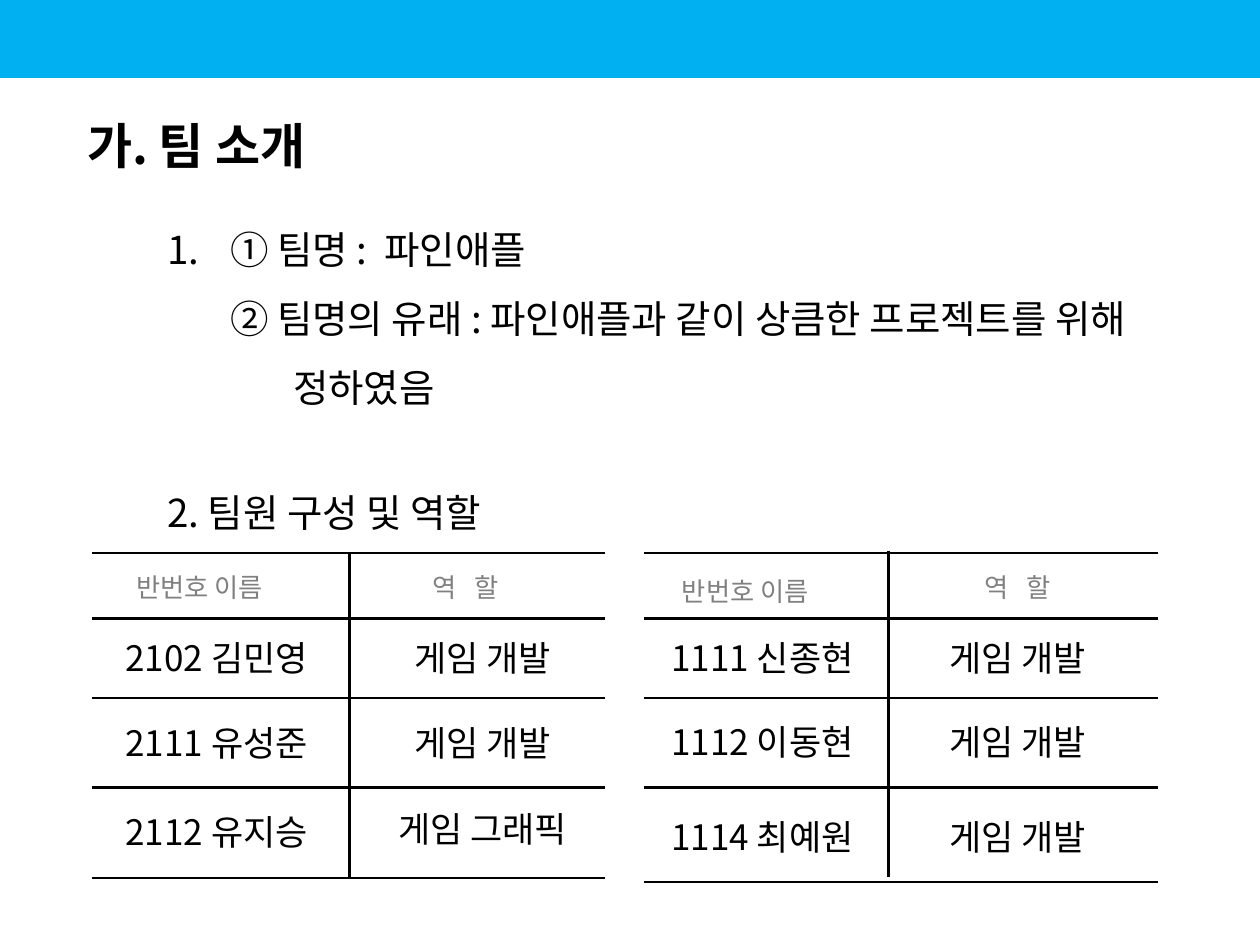
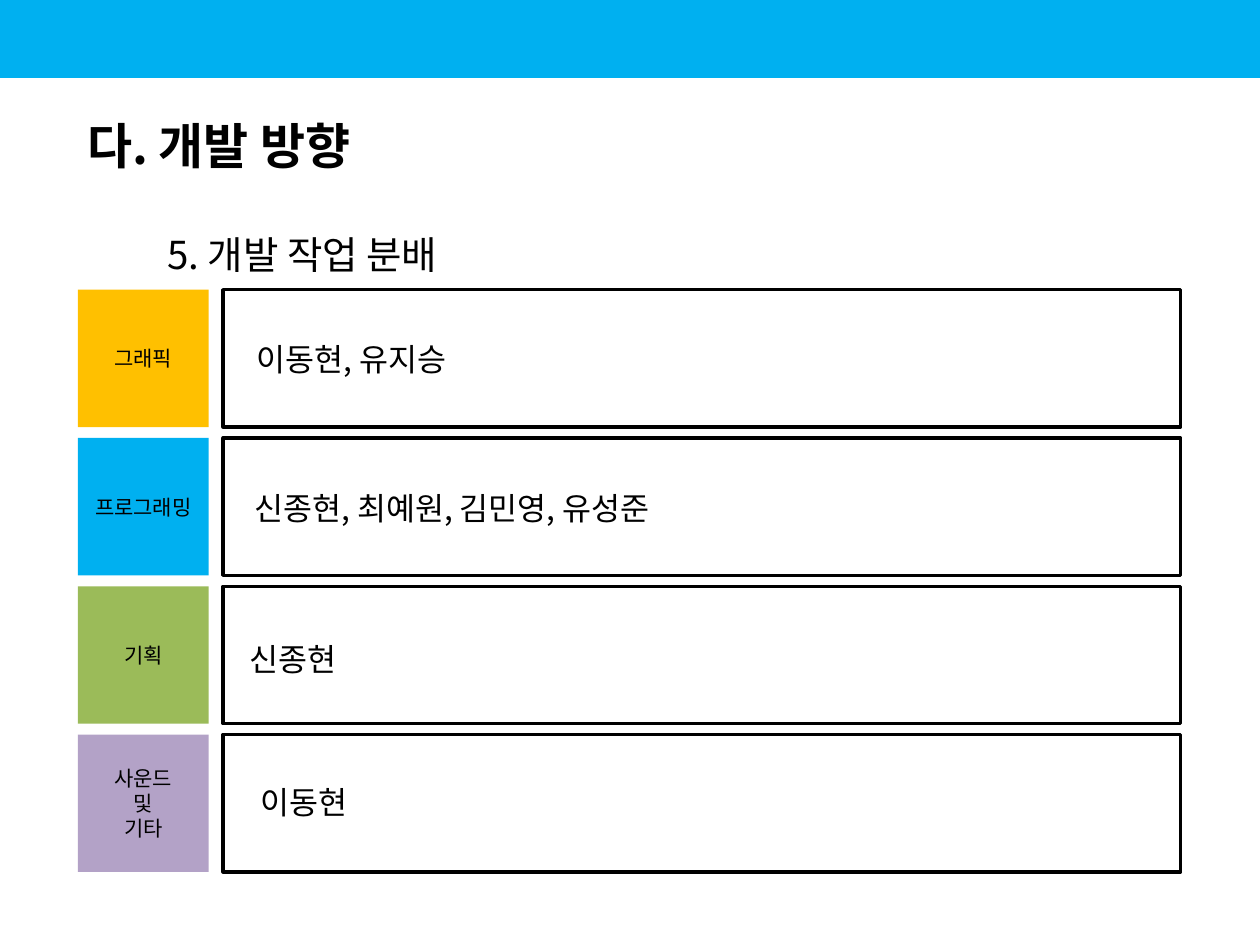
"""Build two team slides: members with roles, and the split of work."""
from dataclasses import dataclass
from typing import Any, Optional

import pptx
import pptx.dml.color
import pptx.enum.shapes
import pptx.enum.text
import pptx.oxml.ns
import pptx.oxml.xmlchemy
import pptx.util
from lxml import etree

Cm = pptx.util.Cm
Pt = pptx.util.Pt
Align = pptx.enum.text.PP_ALIGN
Anchor = pptx.enum.text.MSO_ANCHOR
qn = pptx.oxml.ns.qn


@dataclass(frozen=True)
class Theme:
    face: str = "Noto Sans CJK KR"
    ink: str = "000000"
    gray: str = "808080"
    blue: str = "00B0F0"
    gold: str = "FFC000"
    green: str = "9BBB59"
    mauve: str = "B3A2C7"
    title: int = 28
    body: int = 22
    cell: int = 20
    name: int = 18
    head: int = 15
    tag: int = 12
    rule: float = 1.5
    frame: float = 2


THEME = Theme()


@dataclass(frozen=True)
class Box:
    left: float
    top: float
    width: float
    height: float

    def place(self) -> tuple:
        return Cm(self.left), Cm(self.top), Cm(self.width), Cm(self.height)


@dataclass(frozen=True)
class Run:
    text: str
    space: float = 0


@dataclass(frozen=True)
class Style:
    size: float
    color: str = THEME.ink
    bold: bool = False
    align: Any = Align.LEFT
    anchor: Any = Anchor.TOP
    pitch: Optional[float] = None


@dataclass(frozen=True)
class Row:
    name: str
    role: str
    top: float
    lift: float = 0


@dataclass(frozen=True)
class Grid:
    left: float
    right: float
    split: float
    top: float
    foot: float
    base: float
    name_head: Box
    role_head: Box
    names: float
    roles: float
    rows: tuple[Row, ...]


@dataclass(frozen=True)
class Task:
    tag: tuple[str, ...]
    color: str
    names: str
    box: Box


TITLE = Style(THEME.title, bold=True, anchor=Anchor.MIDDLE)
LIST = Style(THEME.body, anchor=Anchor.MIDDLE, pitch=1.5)
TOPIC = Style(THEME.body, pitch=1.5)
HEAD = Style(THEME.head, THEME.gray, align=Align.CENTER, anchor=Anchor.MIDDLE)
CELL = Style(THEME.cell, align=Align.CENTER)
NAME = Style(THEME.name)
TAG = Style(THEME.tag, align=Align.CENTER, anchor=Anchor.MIDDLE)

RULES = (11.15, 12.47, 14.07, 15.88)
GRIDS = (
    Grid(1.85, 12.19, 7.04, 11.15, 17.7, 17.7,
         Box(2.08, 11.38, 3.89, 0.89), Box(6.78, 11.38, 5.21, 0.89), 2.11, 7.47,
         (Row("2102 김민영", "게임 개발", 12.7),
          Row("2111 유성준", "게임 개발", 14.43),
          Row("2112 유지승", "게임 그래픽", 16.21, 0.06))),
    Grid(12.98, 23.34, 17.91, 11.1, 17.68, 17.78,
         Box(13.08, 11.46, 3.89, 0.89), Box(17.91, 11.38, 5.21, 0.89), 13.11, 18.26,
         (Row("1111 신종현", "게임 개발", 12.7),
          Row("1112 이동현", "게임 개발", 14.4),
          Row("1114 최예원", "게임 개발", 16.31))),
)
TASKS = (
    Task(("그래픽",), THEME.gold, "이동현, 유지승", Box(4.93, 6.73, 5.03, 1.02)),
    Task(("프로그래밍",), THEME.blue, "신종현, 최예원, 김민영, 유성준",
         Box(4.88, 9.73, 18.59, 1)),
    Task(("기획",), THEME.green, "신종현", Box(4.78, 12.78, 4.52, 1.02)),
    Task(("사운드", "및", "기타"), THEME.mauve, "이동현", Box(5, 15.67, 4.09, 1.02)),
)


def tint(code: str) -> Any:
    return pptx.dml.color.RGBColor.from_string(code)


def add_run(para: Any, run: Run, style: Style) -> None:
    part = para.add_run()
    part.text = run.text
    font = part.font
    font.name, font.size, font.bold = THEME.face, Pt(style.size), style.bold
    font.color.rgb = tint(style.color)
    props = part._r.get_or_add_rPr()
    etree.SubElement(props, qn("a:ea")).set("typeface", THEME.face)
    if run.space:
        props.set("spc", str(int(run.space * 100)))


def write(frame: Any, lines: tuple[tuple[Run, ...], ...], style: Style) -> None:
    frame.word_wrap = True
    frame.vertical_anchor = style.anchor
    for index, line in enumerate(lines):
        para = frame.add_paragraph() if index else frame.paragraphs[0]
        para.alignment = style.align
        if style.pitch:
            para.line_spacing = style.pitch
        for run in line:
            add_run(para, run, style)


def add_text(slide: Any, box: Box, style: Style, *lines: tuple[Run, ...]) -> Any:
    frame = slide.shapes.add_textbox(*box.place()).text_frame
    write(frame, lines, style)
    return frame


def add_rect(slide: Any, box: Box, fill: str = "", line: str = "") -> Any:
    kind = pptx.enum.shapes.MSO_SHAPE.RECTANGLE
    shape = slide.shapes.add_shape(kind, *box.place())
    shape.shadow.inherit = False
    if fill:
        shape.fill.solid()
        shape.fill.fore_color.rgb = tint(fill)
    else:
        shape.fill.background()
    if line:
        shape.line.color.rgb = tint(line)
        shape.line.width = Pt(THEME.frame)
    else:
        shape.line.fill.background()
    return shape


def add_rule(slide: Any, x1: float, y1: float, x2: float, y2: float) -> None:
    kind = pptx.enum.shapes.MSO_CONNECTOR.STRAIGHT
    rule = slide.shapes.add_connector(kind, Cm(x1), Cm(y1), Cm(x2), Cm(y2))
    rule.line.color.rgb = tint(THEME.ink)
    rule.line.width = Pt(THEME.rule)
    etree.SubElement(rule.element.spPr, qn("a:effectLst"))


def indent(para: Any, left: float, number: bool = False) -> None:
    props = para._p.get_or_add_pPr()
    props.set("marL", str(Cm(left)))
    props.set("indent", str(-Cm(1.27)))
    if number:
        etree.SubElement(props, qn("a:buFont")).set("typeface", THEME.face)
        etree.SubElement(props, qn("a:buAutoNum")).set("type", "arabicPeriod")


def add_slide(deck: Any, layout: Any, title: str) -> Any:
    slide = deck.slides.add_slide(layout)
    shape = slide.shapes.title
    shape.left, shape.top, shape.width, shape.height = Box(1.5, 1.9, 23.9, 2.06).place()
    write(shape.text_frame, ((Run(title),),), TITLE)
    return slide


def add_topic(slide: Any, top: float, text: str) -> None:
    add_text(slide, Box(3.12, top, 20.35, 1.85), TOPIC, (Run(text),))


def add_grid(slide: Any, grid: Grid) -> None:
    for y in (*RULES, grid.base):
        add_rule(slide, grid.left, y, grid.right, y)
    add_rule(slide, grid.split, grid.top, grid.split, grid.foot)
    add_text(slide, grid.name_head, HEAD, (Run("반번호 이름"),))
    add_text(slide, grid.role_head, HEAD, (Run("역"), Run(" ", 6.8), Run("할")))
    for row in grid.rows:
        add_text(slide, Box(grid.names, row.top, 4.52, 1.07), CELL, (Run(row.name),))
        add_text(slide, Box(grid.roles, row.top - row.lift, 4.52, 1.07), CELL,
                 (Run(row.role),))


def add_team(slide: Any) -> None:
    frame = add_text(
        slide, Box(3.12, 3.96, 20.35, 4.45), LIST,
        (Run("① 팀명 :"), Run(" ", 5), Run("파인애플")),
        (Run("② 팀명의 유래 : 파인애플과 같이 상큼한 프로젝트를 위해 정하였음"),))
    first, second = frame.paragraphs
    indent(first, 1.27, number=True)
    second.level = 1
    indent(second, 2.54)
    add_topic(slide, 9.27, "2. 팀원 구성 및 역할")
    for grid in GRIDS:
        add_grid(slide, grid)


def add_tasks(slide: Any) -> None:
    add_topic(slide, 4.06, "5. 개발 작업 분배")
    for index, task in enumerate(TASKS):
        top = 5.84 + 2.99 * index
        add_rect(slide, Box(4.5, top, 19.3, 2.77), line=THEME.ink)
        tag = add_rect(slide, Box(1.57, top, 2.64, 2.77), fill=task.color)
        write(tag.text_frame, tuple((Run(word),) for word in task.tag), TAG)
        add_text(slide, task.box, NAME, (Run(task.names),))


def main() -> None:
    deck = pptx.Presentation()
    deck.slide_width, deck.slide_height = Cm(25.4), Cm(19.05)
    layout = deck.slide_layouts.get_by_name("Title Only")
    team = add_slide(deck, layout, "가. 팀 소개")
    band = add_rect(team, Box(0, 0, 25.4, 1.57), fill=THEME.blue)
    layout.shapes.element.insert(2, band.element)
    add_team(team)
    add_tasks(add_slide(deck, layout, "다. 개발 방향"))
    deck.save("out.pptx")


if __name__ == "__main__":
    main()
